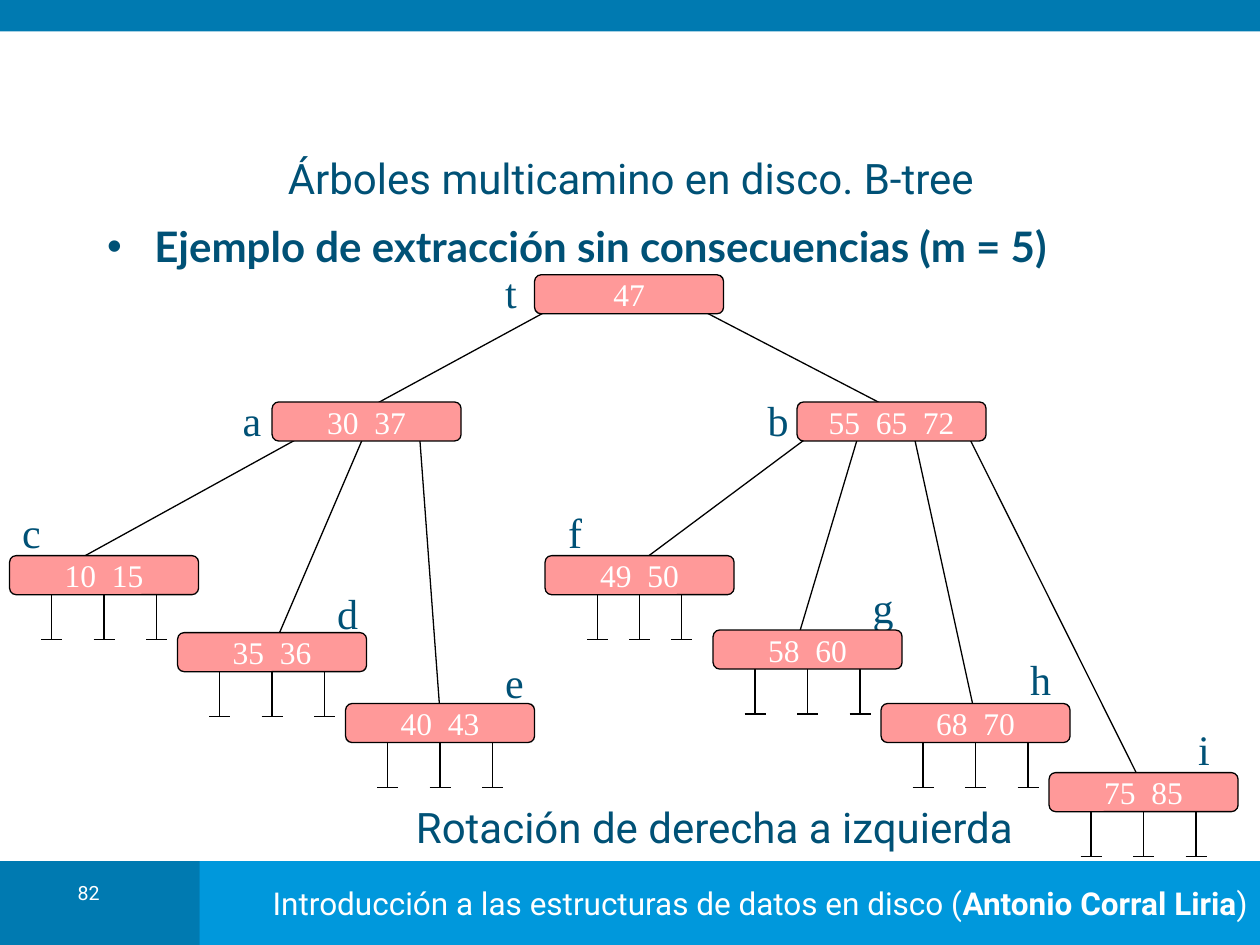
from lxml import etree
from pptx import Presentation
from pptx import util as u
from pptx.dml.color import RGBColor
from pptx.enum import shapes, text
from pptx.oxml import ns

INK = "005176"
WHITE = "FFFFFF"
BLACK = "000000"
DARK_BLUE = "007AB1"
LIGHT_BLUE = "0098DC"
PINK = "FF9999"
SANS, SERIF, BULLET_FONT = "Roboto", "Times New Roman", "Lato"

NODE_WIDTH, NODE_HEIGHT = 108, 22.3
LEG_TOP, LEG_BOTTOM, FOOT = 18, 48, 6
EDGE_START = {"t": 5, "a": 15.8, "b": 15.8}
LEGS = (24, 54, 84)
TIGHT_LEGS = (30, 54, 78)

NODES = {
    "t": ("47", 305.5, 157, -24, -8, ()),
    "a": ("30  37", 155.5, 229.7, -24, -8, ()),
    "b": ("55  65  72", 455.5, 229.7, -24, -8, ()),
    "c": ("10  15", 5.5, 317.5, 0, -31.5, LEGS),
    "d": ("35  36", 101.5, 361.5, 84, -29.5, LEGS),
    "e": ("40  43", 197.5, 402, 84, -30.5, LEGS),
    "f": ("49  50", 311.5, 317.5, 6, -31.5, TIGHT_LEGS),
    "g": ("58  60", 407.5, 360, 84, -31.5, LEGS),
    "h": ("68  70", 503.5, 402, 78, -32, LEGS),
    "i": ("75  85", 599.5, 441.5, 78, -31.5, LEGS),
}
EDGES = [
    ("t", "a", 36, 54, 4),
    ("t", "b", 66, 54, 4),
    ("a", "c", 24, 36, 4),
    ("a", "d", 54, 54, 10),
    ("a", "e", 84, 54, 6),
    ("b", "f", 12, 54, 4),
    ("b", "g", 36, 48, 6),
    ("b", "h", 66, 54, 8),
    ("b", "i", 96, 54, 8.5),
]


def color(value):
    return RGBColor.from_string(value)


def write(paragraph, content, font=SANS, size=24, ink=INK, bold=False,
          align=text.PP_ALIGN.LEFT, spacing=1.0):
    paragraph.alignment = align
    paragraph.line_spacing = spacing
    paragraph.space_before = u.Pt(0)
    run = paragraph.add_run()
    run.text = content
    run.font.name = font
    run.font.size = u.Pt(size)
    run.font.bold = bold
    run.font.color.rgb = color(ink)


class TreeSlide:
    def __init__(self, presentation):
        self.slide = presentation.slides.add_slide(presentation.slide_layouts[1])

    def frame(self, shape, anchor):
        frame = shape.text_frame
        frame.word_wrap = True
        frame.auto_size = text.MSO_AUTO_SIZE.NONE
        frame.vertical_anchor = anchor
        return frame.paragraphs[0]

    def placeholder(self, index, box, anchor):
        shape = self.slide.placeholders[index]
        shape.left, shape.top, shape.width, shape.height = map(u.Pt, box)
        return self.frame(shape, anchor)

    def title(self, content, *box):
        paragraph = self.placeholder(0, box, text.MSO_ANCHOR.MIDDLE)
        write(paragraph, content, align=text.PP_ALIGN.CENTER)

    def bullet(self, content, *box):
        paragraph = self.placeholder(1, box, text.MSO_ANCHOR.TOP)
        properties = paragraph._p.get_or_add_pPr()
        properties.set("marL", str(u.Pt(27)))
        properties.set("indent", str(u.Pt(-27)))
        etree.SubElement(properties, ns.qn("a:buChar")).set("char", "•")
        write(paragraph, content, font=BULLET_FONT, bold=True)

    def label(self, content, *box, anchor=text.MSO_ANCHOR.TOP, **style):
        shape = self.slide.shapes.add_textbox(*map(u.Pt, box))
        write(self.frame(shape, anchor), content, **style)

    def block(self, kind, fill, *box):
        shape = self.slide.shapes.add_shape(kind, *map(u.Pt, box))
        shape.shadow.inherit = False
        shape.fill.solid()
        shape.fill.fore_color.rgb = color(fill)
        shape.line.fill.background()
        return shape

    def bar(self, fill, *box):
        return self.block(shapes.MSO_SHAPE.RECTANGLE, fill, *box)

    def line(self, *ends):
        connector = self.slide.shapes.add_connector(
            shapes.MSO_CONNECTOR.STRAIGHT, *map(u.Pt, ends))
        connector.line.color.rgb = color(BLACK)
        connector.line.width = u.Pt(0.75)
        etree.SubElement(connector._element.spPr, ns.qn("a:effectLst"))

    def legs(self, left, top, offsets):
        for offset in offsets:
            x, bottom = left + offset, top + LEG_BOTTOM
            self.line(x, top + LEG_TOP, x, bottom)
            self.line(x - FOOT, bottom, x + FOOT, bottom)

    def node(self, keys, left, top):
        shape = self.block(shapes.MSO_SHAPE.ROUNDED_RECTANGLE, PINK,
                           left, top, NODE_WIDTH, NODE_HEIGHT)
        shape.line.color.rgb = color(BLACK)
        shape.line.width = u.Pt(0.75)
        write(self.frame(shape, text.MSO_ANCHOR.MIDDLE), keys, font=SERIF,
              size=18, ink=WHITE, align=text.PP_ALIGN.CENTER)

    def tree(self):
        for parent, child, start, end, depth in EDGES:
            parent_left, parent_top = NODES[parent][1:3]
            child_left, child_top = NODES[child][1:3]
            self.line(parent_left + start, parent_top + EDGE_START[parent],
                      child_left + end, child_top + depth)
        for keys, left, top, dx, dy, offsets in NODES.values():
            self.legs(left, top, offsets)
        for name, (keys, left, top, dx, dy, offsets) in NODES.items():
            self.label(name, left + dx, top + dy, 24, 36, font=SERIF)
            self.node(keys, left, top)


def main():
    presentation = Presentation()
    presentation.slide_width, presentation.slide_height = u.Pt(720), u.Pt(540)
    page = TreeSlide(presentation)

    page.bar(DARK_BLUE, 0, 0, 720, 18)
    page.bar(DARK_BLUE, 0, 492, 132, 48)
    footer = page.bar(LIGHT_BLUE, 114, 492, 606, 48)
    paragraph = page.frame(footer, text.MSO_ANCHOR.MIDDLE)
    for content, bold in (
            ("Introducción a las estructuras de datos en disco (", False),
            ("Antonio Corral Liria", True),
            (")", False)):
        write(paragraph, content, size=18, ink=WHITE, bold=bold,
              align=text.PP_ALIGN.RIGHT)
    page.bar(DARK_BLUE, 0, 492, 114, 48)
    page.label("82", 25.2, 502.5, 51, 23, size=11.2, ink=WHITE,
               align=text.PP_ALIGN.CENTER, spacing=0.8)

    page.title("Árboles multicamino en disco. B-tree", 60, 86.4, 601, 30)
    page.bullet("Ejemplo de extracción sin consecuencias (m = 5)",
                54, 122.4, 651.6, 368.6)
    page.tree()
    page.label("Rotación de derecha a izquierda", 222.5, 440, 371.5, 65,
               anchor=text.MSO_ANCHOR.MIDDLE, align=text.PP_ALIGN.CENTER)
    presentation.save("out.pptx")


if __name__ == "__main__":
    main()
